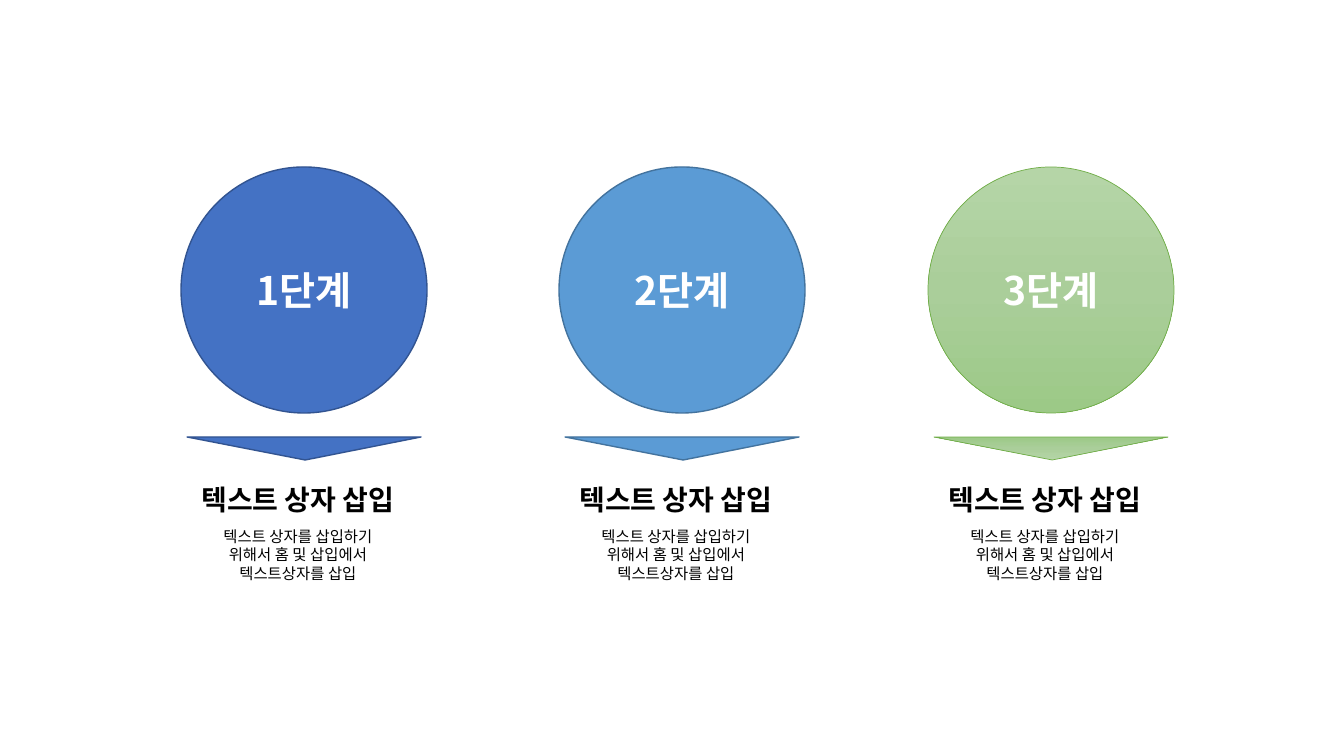
from copy import deepcopy

from lxml import etree
from pptx import Presentation
from pptx import util as u
from pptx.dml.color import RGBColor
from pptx.enum import shapes, text
from pptx.oxml.ns import qn

# Content: label, left edge of the step, fill colours, line colour, line width
HEADING = "텍스트 상자 삽입"
BODY = "텍스트 상자를 삽입하기 위해서 홈 및 삽입에서 텍스트상자를 삽입"
STEPS = [
    ("1단계", 181, ["blue"], "blue_line", 1),
    ("2단계", 559, ["sky"], "sky_line", 1),
    ("3단계", 928, ["green_top", "green_mid", "green_low"], "green_line", 0.5),
]
COLORS = {
    "blue": "4472C4", "blue_line": "325491",
    "sky": "5B9BD5", "sky_line": "43739E",
    "green_top": "B5D5A7", "green_mid": "AACE9A", "green_low": "9CC987",
    "green_line": "70AD47", "white": "FFFFFF", "black": "000000",
}
FONT = "Noto Sans CJK KR"
PX = 914400 / 100.8

# Boxes of one step: offset from its left edge, top, width, height
CIRCLE = (0, 167, 246, 246)
POINTER = (6, 437, 234, 23)
HEADING_BOX = (-15, 478, 264, 44)
BODY_BOX = (12, 522, 210, 66)


def px(n):
    return u.Emu(round(n * PX))


def rgb(name):
    return RGBColor.from_string(COLORS[name])


def place(left, box):
    dx, top, width, height = box
    return [px(n) for n in (left + dx, top, width, height)]


def write(tf, words, size, color, bold):
    tf.word_wrap = True
    p = tf.paragraphs[0]
    p.alignment = text.PP_ALIGN.CENTER
    r = p.add_run()
    r.text = words
    r.font.name, r.font.size, r.font.bold = FONT, u.Pt(size), bold
    r.font.color.rgb = rgb(color)
    latin = r.font._element.find(qn("a:latin"))
    ea = etree.Element(qn("a:ea"), typeface=FONT)
    latin.addnext(ea)


def paint(sp, fills, line, width):
    sp.shadow.inherit = False
    sp.line.color.rgb = rgb(line)
    sp.line.width = u.Pt(width)
    if len(fills) == 1:
        sp.fill.solid()
        sp.fill.fore_color.rgb = rgb(fills[0])
        return
    # Top-to-bottom gradient with a middle stop
    sp.fill.gradient()
    sp.fill.gradient_angle = 270
    first = sp._element.spPr.find(qn("a:gradFill")).find(qn("a:gsLst"))[0]
    first.addnext(deepcopy(first))
    for i, (stop, name) in enumerate(zip(sp.fill.gradient_stops, fills)):
        stop.position = i / (len(fills) - 1)
        stop.color.rgb = rgb(name)


def add_text(s, left, box, words, size, bold):
    tf = s.shapes.add_textbox(*place(left, box)).text_frame
    write(tf, words, size, "black", bold)
    tf.auto_size = text.MSO_AUTO_SIZE.SHAPE_TO_FIT_TEXT


def main():
    prs = Presentation()
    prs.slide_width, prs.slide_height = px(1344), px(756)
    s = prs.slides.add_slide(prs.slide_layouts[6])

    for label, left, fills, line, width in STEPS:
        # Circle with the step label
        circle = s.shapes.add_shape(shapes.MSO_SHAPE.OVAL, *place(left, CIRCLE))
        paint(circle, fills, line, width)
        circle.text_frame.vertical_anchor = text.MSO_ANCHOR.MIDDLE
        write(circle.text_frame, label, 28, "white", True)

        # Flat triangle pointing down
        pointer = s.shapes.add_shape(
            shapes.MSO_SHAPE.ISOSCELES_TRIANGLE, *place(left, POINTER))
        pointer.rotation = 180
        pointer.adjustments[0] = 0.495
        paint(pointer, fills, line, width)

        # Heading and description
        add_text(s, left, HEADING_BOX, HEADING, 20, True)
        add_text(s, left, BODY_BOX, BODY, 11, False)

    prs.save("out.pptx")


if __name__ == "__main__":
    main()
